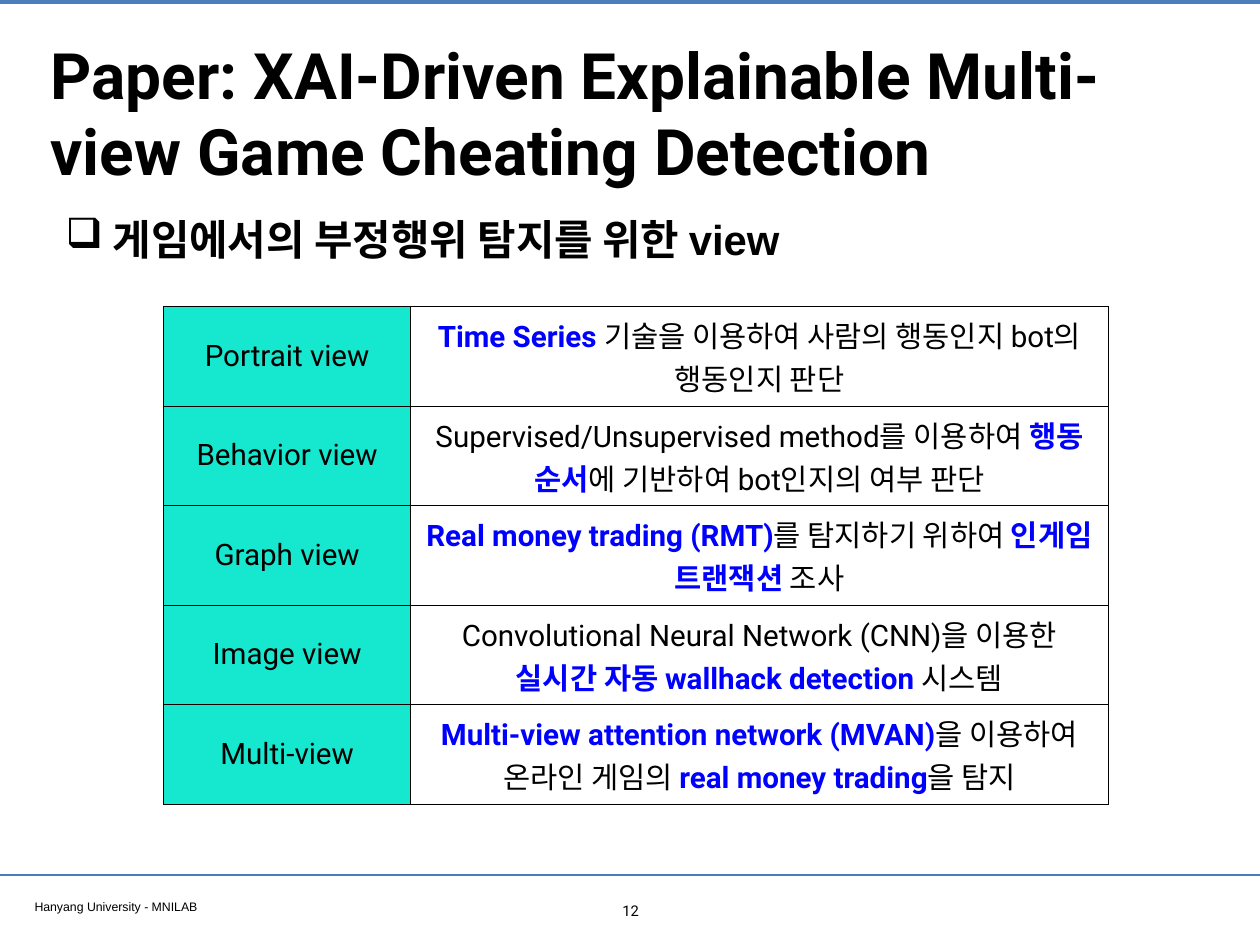
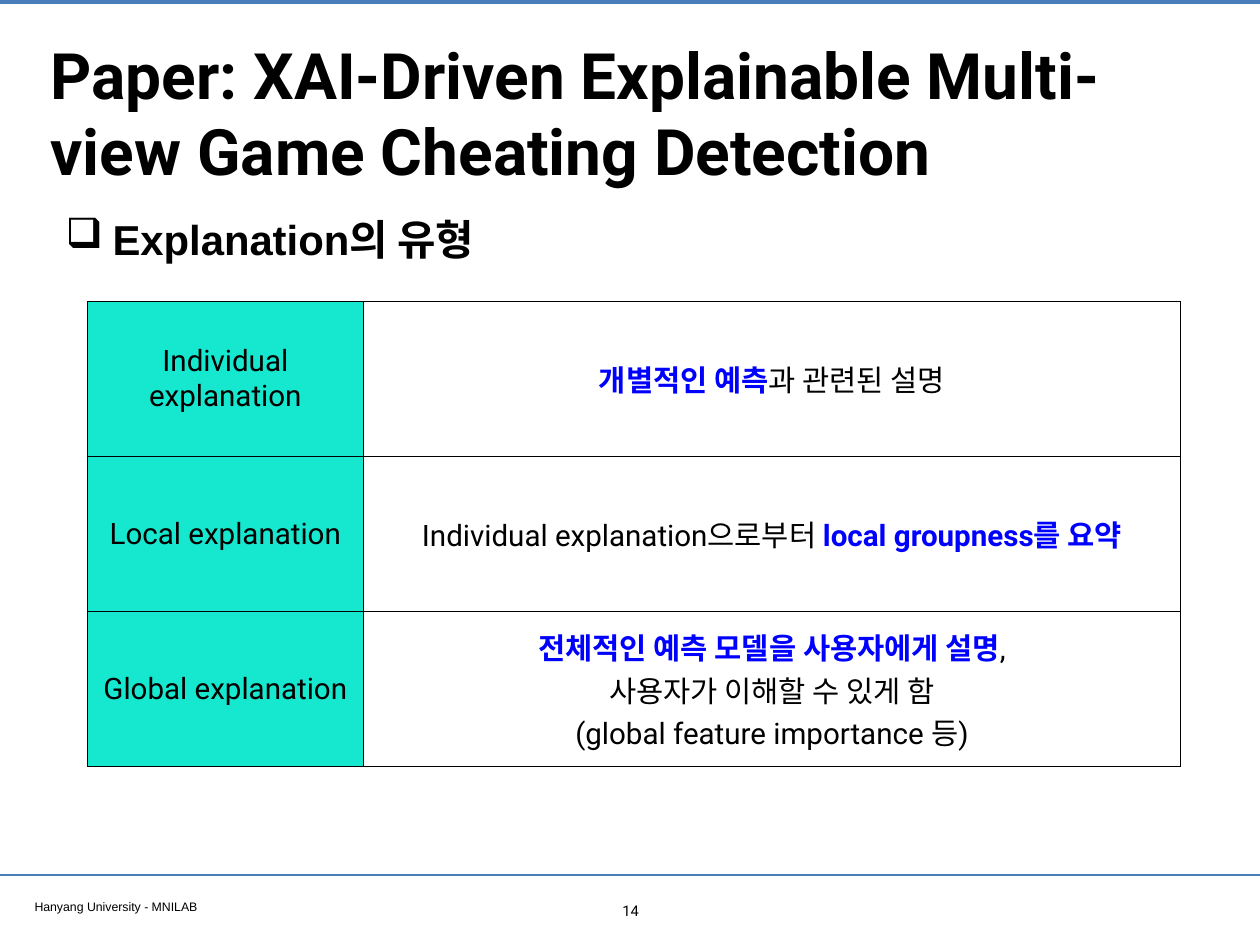
from lxml.etree import SubElement
from pptx import Presentation
from pptx.dml.color import RGBColor
from pptx.enum.shapes import MSO_CONNECTOR
from pptx.enum.text import MSO_ANCHOR, PP_ALIGN
from pptx.oxml.ns import qn
from pptx.util import Cm, Pt

COLORS = {"text": "000000", "accent": "0000FF", "label": "16E7CF", "rule": "4A7EBB"}
HEADING_FONT, BODY_FONT = "Roboto", "Arial"
WIDTH, HEIGHT = 36.12, 27.1
PADDING = 0.15
TITLE = "Paper: XAI-Driven Explainable Multi-view Game Cheating Detection"
FOOTER = "Hanyang University - MNILAB"

VIEWS = [
    ("Portrait view", "*Time Series *기술을 이용하여 사람의 행동인지 bot의 행동인지 판단"),
    ("Behavior view", "Supervised/Unsupervised method를 이용하여 *행동 순서*에 기반하여 bot인지의 여부 판단"),
    ("Graph view", "*Real money trading (RMT)*를 탐지하기 위하여 *인게임 트랜잭션* 조사"),
    ("Image view", "Convolutional Neural Network (CNN)을 이용한 *실시간 자동 wallhack detection *시스템"),
    ("Multi-view", "*Multi-view attention network (MVAN)*을 이용하여 온라인 게임의 *real money trading*을 탐지"),
]
EXPLANATIONS = [
    ("Individual explanation", "*개별적인 예측*과 관련된 설명"),
    ("Local explanation", "Individual explanation으로부터 *local groupness를 요약*"),
    ("Global explanation", "*전체적인 예측 모델을 사용자에게 설명*,\n사용자가 이해할 수 있게 함\n(global feature importance 등)"),
]


def rgb(name):
    """Return the named palette colour."""
    return RGBColor.from_string(COLORS[name])


def write(frame, text, size=24, font=HEADING_FONT, bold=False, align=PP_ALIGN.LEFT,
          spacing=None, bullet=None, indent=0):
    """Fill a text frame; parts between asterisks are bold and accented."""
    for number, line in enumerate(text.split("\n")):
        paragraph = frame.add_paragraph() if number else frame.paragraphs[0]
        paragraph.alignment = align
        if spacing:
            paragraph.line_spacing = spacing
        if bullet:
            properties = paragraph._p.get_or_add_pPr()
            properties.set("marL", str(Cm(indent)))
            properties.set("indent", str(-Cm(indent)))
            SubElement(properties, qn("a:buChar"), char=bullet)
        for position, part in enumerate(line.split("*")):
            if not part:
                continue
            accented = position % 2 == 1
            run = paragraph.add_run()
            run.text = part
            run.font.size = Pt(size)
            run.font.name = font
            run.font.bold = bold or accented
            run.font.color.rgb = rgb("accent" if accented else "text")


def add_text(slide, box, text, anchor=MSO_ANCHOR.TOP, **style):
    """Place a padded, wrapping text box."""
    frame = slide.shapes.add_textbox(*map(Cm, box)).text_frame
    frame.word_wrap = True
    frame.vertical_anchor = anchor
    frame.margin_left = frame.margin_right = Cm(PADDING)
    frame.margin_top = frame.margin_bottom = Cm(PADDING)
    write(frame, text, **style)


def add_rule(slide, top, weight):
    """Draw a rule across the full slide."""
    rule = slide.shapes.add_connector(
        MSO_CONNECTOR.STRAIGHT, Cm(0), Cm(top), Cm(WIDTH), Cm(top))
    rule.line.color.rgb = rgb("rule")
    rule.line.width = Pt(weight)
    SubElement(rule._element.spPr, qn("a:effectLst"))


def add_frame(slide, page):
    """Add the rules, title, footer and page number."""
    add_rule(slide, 0.05, 3.2)
    add_rule(slide, 25.1, 2)
    add_text(slide, (0.84, 25.63, 13.87, 0.66), FOOTER, size=10, font=BODY_FONT)
    add_text(slide, (1.3, 0.71, 33.55, 5), TITLE, MSO_ANCHOR.MIDDLE, size=52, bold=True)
    add_text(slide, (17.58, 25.7, 1, 0.8), str(page), size=12, align=PP_ALIGN.CENTER)


def outline(cell):
    """Draw a thin border on all four sides of a cell."""
    properties = cell._tc.get_or_add_tcPr()
    for side in ("lnL", "lnR", "lnT", "lnB"):
        border = SubElement(properties, qn(f"a:{side}"), w=str(Pt(1)))
        paint = SubElement(border, qn("a:solidFill"))
        SubElement(paint, qn("a:srgbClr"), val=COLORS["text"])


def add_definitions(slide, box, label_width, entries):
    """Lay out labels and descriptions in equal rows within the box."""
    left, top, width, height = box
    table = slide.shapes.add_table(
        len(entries), 2, Cm(left), Cm(top), Cm(width), Cm(height)).table
    table.first_row = table.horz_banding = False
    table.columns[0].width = Cm(label_width)
    table.columns[1].width = Cm(width - label_width)
    for row, entry in enumerate(entries):
        for column, text in enumerate(entry):
            cell = table.cell(row, column)
            outline(cell)
            if column == 0:
                cell.fill.solid()
                cell.fill.fore_color.rgb = rgb("label")
            else:
                cell.fill.background()
            cell.vertical_anchor = MSO_ANCHOR.MIDDLE
            write(cell.text_frame, text, align=PP_ALIGN.CENTER)


def add_definition_slide(deck, page, topic, box, label_width, entries):
    """Build a slide with one topic line and its table."""
    slide = deck.slides.add_slide(deck.slide_layouts[6])
    add_frame(slide, page)
    add_text(slide, (1.73, 5.69, 33.1, 3.05), topic, size=34, font=BODY_FONT,
             bold=True, spacing=1.2, bullet="❑", indent=1.35)
    add_definitions(slide, box, label_width, entries)


def main():
    """Build and save the deck."""
    deck = Presentation()
    deck.slide_width, deck.slide_height = Cm(WIDTH), Cm(HEIGHT)
    add_definition_slide(deck, 12, "게임에서의 부정행위 탐지를 위한 view",
                         (4.7, 8.79, 27.08, 14.27), 7.06, VIEWS)
    add_definition_slide(deck, 14, "Explanation의 유형",
                         (2.51, 8.64, 31.34, 13.35), 7.9, EXPLANATIONS)
    deck.save("out.pptx")


if __name__ == "__main__":
    main()
